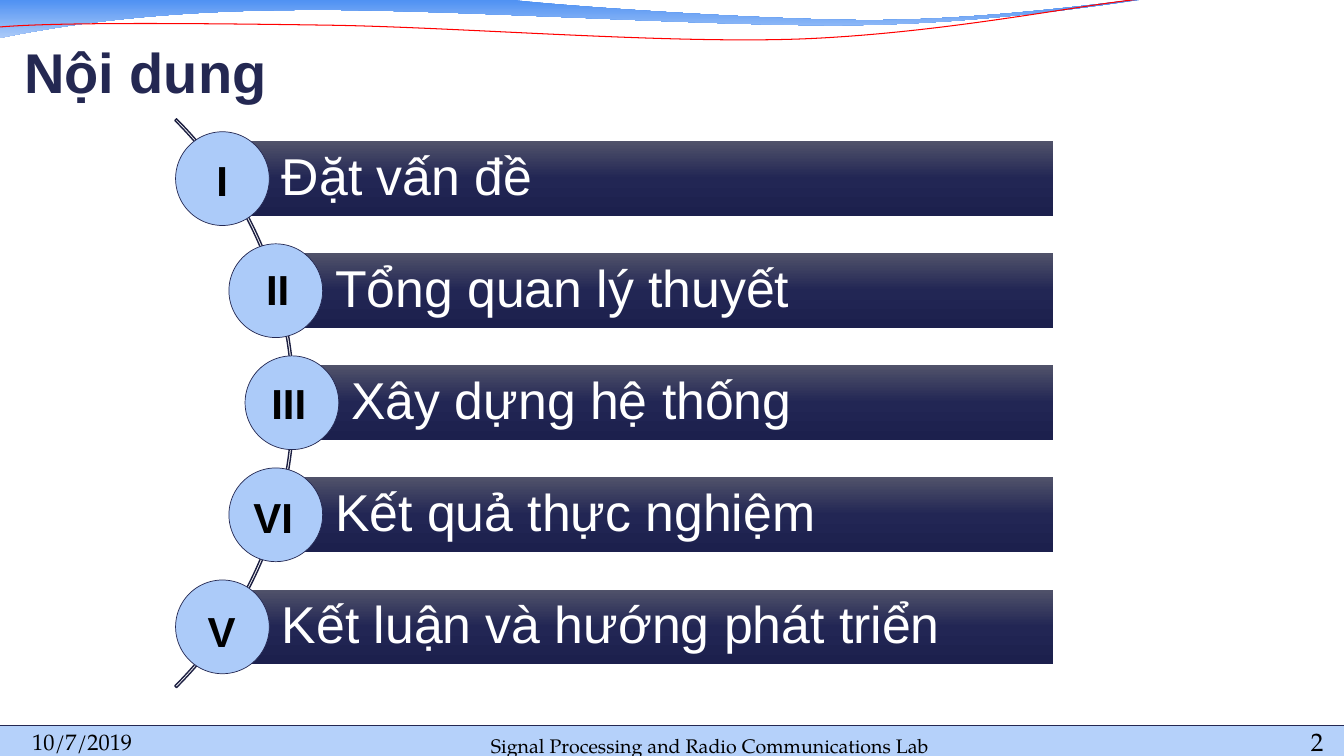
"""Build the contents slide on a square grid of 160 columns by 90 rows."""
from dataclasses import dataclass
from math import sqrt
from typing import Any, NamedTuple

from lxml.etree import SubElement
from pptx import Presentation
from pptx.dml.color import RGBColor as Rgb
from pptx.enum.shapes import MSO_CONNECTOR as Link, MSO_SHAPE as Kind
from pptx.enum.text import MSO_ANCHOR as Anchor, PP_ALIGN as Align
from pptx.oxml.ns import qn
from pptx.util import Emu, Pt

COLS, ROWS, CELL = 160, 90, 76200
ARC_X, ARC_Y, ARC_R = -12.84, 48, 47.88
RING_X, RING_Y, RING_R = -12.4, 47.95, 47.16
PITCH, BAR_H, BAR_END, DISC = 13.34, 8.88, 125.4, 11.16
FOOT = 86.4

Point = tuple[float, float]
Stops = tuple[tuple[int, str], ...]


@dataclass(frozen=True)
class Theme:
    navy: str = "242852"
    arc: str = "1D2042"
    disc: str = "ACCBF9"
    band: str = "B5D1FA"
    red: str = "FF0000"
    black: str = "000000"
    white: str = "FFFFFF"
    wave: Stops = ((0, "4A8EF2"), (100, "ACCBF9"))
    bar: Stops = ((0, "50526A"), (50, "222654"), (100, "1C204D"))
    sans: str = "Arial"
    serif: str = "TeX Gyre Pagella"
    title: float = 40
    item: float = 37
    mark: float = 30
    date: float = 16
    lab: float = 14
    page: float = 18


class Box(NamedTuple):
    col: float
    row: float
    wide: float
    high: float

    def emu(self) -> list[Emu]:
        return [cells(v) for v in self]


class Item(NamedTuple):
    mark: str
    text: str
    col: float
    row: float


class Note(NamedTuple):
    text: str
    box: Box
    size: float
    align: Align


THEME = Theme()
ITEMS = (
    Item("I", "Đặt vấn đề", 26.46, 21.42),
    Item("II", "Tổng quan lý thuyết", 33.06, 34.38),
    Item("III", "Xây dựng hệ thống", 34.38, 47.94),
    Item("VI", "Kết quả thực nghiệm", 32.52, 61.5),
    Item("V", "Kết luận và hướng phát triển", 26.4, 75.06),
)
NOTES = (
    Note("10/7/2019", Box(3.84, 87.48, 34.32, 2.4), THEME.date, Align.LEFT),
    Note("Signal Processing and Radio Communications Lab",
         Box(50.76, 86.64, 67.56, 3.48), THEME.lab, Align.CENTER),
    Note("2", Box(144.12, 87.72, 13.44, 2.4), THEME.page, Align.RIGHT),
)
CORNER = ((-0.12, -0.12),)
CREST = ((60.12, -0.12), (64.92, 0.6), (90.84, 2.4), (103.56, 2.4),
         (116.28, 2.4), (130.92, 0.48), (136.56, -0.24))
TROUGH = ((136.56, -0.12), (134.16, 0.12), (118.8, 2.76), (101.88, 3),
          (84.96, 3.24), (52.08, 0.96), (35.04, 1.2),
          (17.52, 1.32), (6.24, 3.24), (-0.24, 4.56))
THREAD = ((-0.24, 3.24), (6.24, 2.64), (22.8, 2.76), (39, 3),
          (55.32, 3.24), (81, 5.4), (97.2, 4.56),
          (113.4, 3.72), (127.8, 0.72), (135.84, -0.12))


def cells(count: float) -> Emu:
    return Emu(round(count * CELL))


def trace(slide: Any, *chains: tuple[Point, ...], close: bool = False) -> Any:
    """Join chains by straight lines; within a chain each three knots curve."""
    spots = [(cells(x), cells(y)) for chain in chains for x, y in chain]
    pen = slide.shapes.build_freeform(*spots[0])
    pen.add_line_segments(spots[1:], close=close)
    shape = pen.convert_to_shape()
    nodes = list(shape.element.spPr.find(".//" + qn("a:path")))
    base = 0
    for chain in chains:
        for first in range(base + 1, base + len(chain), 3):
            head, *rest = nodes[first:first + 3]
            head.tag = qn("a:cubicBezTo")
            for node in rest:
                head.append(node[0])
                node.getparent().remove(node)
        base += len(chain)
    return shape


def paint(shape: Any, fill: str | Stops | None = None,
          line: str | None = None, width: float = 1) -> Any:
    shape.shadow.inherit = False
    if fill is None:
        shape.fill.background()
    elif isinstance(fill, str):
        shape.fill.solid()
        shape.fill.fore_color.rgb = Rgb.from_string(fill)
    else:
        shape.fill.gradient()
        shape.fill.gradient_angle = 270
        stops = shape.element.spPr.find(".//" + qn("a:gsLst"))
        stops[:] = []
        for spot, tint in fill:
            stop = SubElement(stops, qn("a:gs"), pos=str(spot * 1000))
            SubElement(stop, qn("a:srgbClr"), val=tint)
    if line is None:
        shape.line.fill.background()
    else:
        shape.line.color.rgb = Rgb.from_string(line)
        shape.line.width = Pt(width)
    return shape


def write(shape: Any, text: str, *, size: float, color: str = THEME.black,
          font: str = THEME.sans, bold: bool = False,
          align: Align = Align.LEFT, anchor: Anchor = Anchor.MIDDLE,
          inset: tuple[float, ...] = (0, 0, 0, 0),
          space: float = 1) -> None:
    frame = shape.text_frame
    frame.word_wrap = True
    frame.vertical_anchor = anchor
    (frame.margin_left, frame.margin_top,
     frame.margin_right, frame.margin_bottom) = [cells(v) for v in inset]
    para = frame.paragraphs[0]
    para.alignment = align
    para.line_spacing = space
    para.space_before = Pt(0)
    run = para.add_run()
    run.text = text
    run.font.name, run.font.size, run.font.bold = font, Pt(size), bold
    run.font.color.rgb = Rgb.from_string(color)


def frame_page(slide: Any) -> None:
    paint(trace(slide, CREST, TROUGH, CORNER, close=True), THEME.wave)
    paint(trace(slide, THREAD), line=THEME.red, width=0.75)
    band = Box(0, FOOT, COLS, ROWS - FOOT)
    paint(slide.shapes.add_shape(Kind.RECTANGLE, *band.emu()), THEME.band)
    rule = slide.shapes.add_connector(
        Link.STRAIGHT, 0, cells(FOOT), cells(COLS), cells(FOOT))
    rule.line.color.rgb = Rgb.from_string(THEME.navy)
    rule.line.width = Pt(1)
    SubElement(rule.element.spPr, qn("a:effectLst"))
    for note in NOTES:
        write(slide.shapes.add_textbox(*note.box.emu()), note.text,
              size=note.size, font=THEME.serif, align=note.align,
              anchor=Anchor.BOTTOM)


def draw_list(slide: Any) -> None:
    shapes = slide.shapes
    ring = Box(ARC_X - ARC_R, ARC_Y - ARC_R, 2 * ARC_R, 2 * ARC_R)
    arc = paint(shapes.add_shape(Kind.BLOCK_ARC, *ring.emu()), line=THEME.arc)
    for spot, value in enumerate((189, 27, 0.003)):
        arc.adjustments[spot] = value
    for rank, item in enumerate(ITEMS):
        drop = (rank - len(ITEMS) // 2) * PITCH
        x, y = RING_X + sqrt(RING_R ** 2 - drop ** 2), RING_Y + drop
        span = Box(x, y - BAR_H / 2, BAR_END - x, BAR_H)
        bar = paint(shapes.add_shape(Kind.RECTANGLE, *span.emu()), THEME.bar)
        write(bar, item.text, size=THEME.item, color=THEME.white,
              inset=(7.08, 1.2, 1.2, 1.2), space=0.9)
        disc = Box(x - DISC / 2, y - DISC / 2, DISC, DISC)
        paint(shapes.add_shape(Kind.OVAL, *disc.emu()),
              THEME.disc, THEME.navy, 0.5)
    for item in ITEMS:
        label = Box(item.col - 4.68, item.row - 3.66, 9.36, 7.32)
        write(shapes.add_textbox(*label.emu()), item.mark, size=THEME.mark,
              bold=True, align=Align.CENTER)


def main() -> None:
    deck = Presentation()
    deck.slide_width, deck.slide_height = cells(COLS), cells(ROWS)
    slide = deck.slides.add_slide(deck.slide_layouts[5])
    title = slide.shapes.title
    title.left, title.top, title.width, title.height = Box(
        2.88, 2.52, 140.28, 9.96).emu()
    write(title, "Nội dung", size=THEME.title, color=THEME.navy, bold=True,
          anchor=Anchor.BOTTOM, inset=(0, 0.6, 0, 0))
    frame_page(slide)
    draw_list(slide)
    deck.save("out.pptx")


if __name__ == "__main__":
    main()
